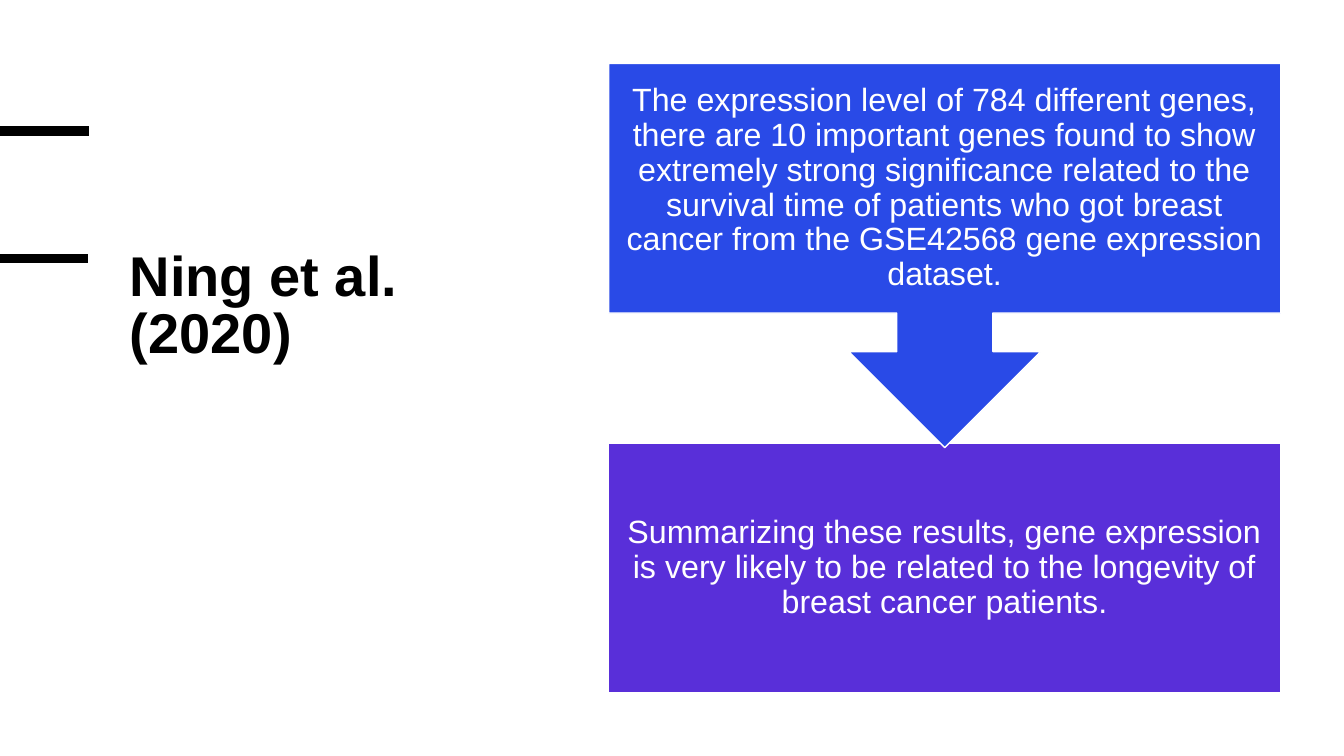
import pptx
import pptx.dml.color
import pptx.enum.shapes
import pptx.enum.text
import pptx.oxml
import pptx.util
from pptx.enum.shapes import MSO_SHAPE
from pptx.enum.text import MSO_ANCHOR, PP_ALIGN
from pptx.util import Cm, Pt

FONT = "Arial"
BLACK, WHITE, BLUE, PURPLE = "000000", "FFFFFF", "294AE7", "592FD9"
PANEL_LEFT, PANEL_WIDTH = 15.34, 16.94

FINDING = (
    "The expression level of 784 different genes, there are 10 important genes "
    "found to show extremely strong significance related to the survival time of "
    "patients who got breast cancer from the GSE42568 gene expression dataset."
)
CONCLUSION = (
    "Summarizing these results, gene expression is very likely to be related to "
    "the longevity of breast cancer patients."
)


def color(hex_string):
    return pptx.dml.color.RGBColor.from_string(hex_string)


def write_text(text_frame, text, size, font_color, line_spacing, bold=False):
    text_frame.text = text
    text_frame.word_wrap = True
    paragraph = text_frame.paragraphs[0]
    paragraph.line_spacing = line_spacing
    font = paragraph.runs[0].font
    font.name = FONT
    font.size = Pt(size)
    font.bold = bold
    font.color.rgb = color(font_color)
    return paragraph


def place_title(slide, text):
    title = slide.shapes.title
    title.left, title.top = Cm(3.02), Cm(6.2)
    title.width, title.height = Cm(10.57), Cm(9.32)
    paragraph = write_text(title.text_frame, text, 40, BLACK, 0.85, bold=True)
    paragraph.alignment = PP_ALIGN.LEFT
    title.text_frame.vertical_anchor = MSO_ANCHOR.TOP
    title.text_frame.auto_size = pptx.enum.text.MSO_AUTO_SIZE.NONE


def add_accent_line(slide, y, length):
    """Draw a thick rule starting at the left edge of the slide."""
    line = slide.shapes.add_connector(
        pptx.enum.shapes.MSO_CONNECTOR.STRAIGHT, Cm(0), Cm(y), Cm(length), Cm(y)
    )
    line.line.color.rgb = color(BLACK)
    line.line.width = Pt(6.75)
    properties = line._element.spPr
    properties.append(pptx.oxml.parse_xml(
        '<a:effectLst xmlns:a="http://schemas.openxmlformats.org/drawingml/2006/main"/>'
    ))


def add_panel(slide, preset, top, height, fill, text):
    panel = slide.shapes.add_shape(
        preset, Cm(PANEL_LEFT), Cm(top), Cm(PANEL_WIDTH), Cm(height)
    )
    panel.shadow.inherit = False
    panel.fill.solid()
    panel.fill.fore_color.rgb = color(fill)
    panel.line.color.rgb = color(WHITE)
    panel.line.width = Pt(1)
    text_frame = panel.text_frame
    text_frame.margin_left = text_frame.margin_right = Cm(0.45)
    text_frame.margin_top = text_frame.margin_bottom = Cm(0.45)
    text_frame.vertical_anchor = MSO_ANCHOR.MIDDLE
    write_text(text_frame, text, 23, WHITE, 0.9).alignment = PP_ALIGN.CENTER


def main():
    presentation = pptx.Presentation()
    presentation.slide_width, presentation.slide_height = Cm(33.87), Cm(19.05)
    slide = presentation.slides.add_slide(presentation.slide_layouts[5])
    add_accent_line(slide, 3.3, 2.24)
    place_title(slide, "Ning et al. (2020)")
    add_accent_line(slide, 6.52, 2.22)
    add_panel(slide, MSO_SHAPE.RECTANGLE, 11.18, 6.28, PURPLE, CONCLUSION)
    add_panel(slide, MSO_SHAPE.DOWN_ARROW_CALLOUT, 1.6, 9.68, BLUE, FINDING)
    presentation.save("out.pptx")


if __name__ == "__main__":
    main()
